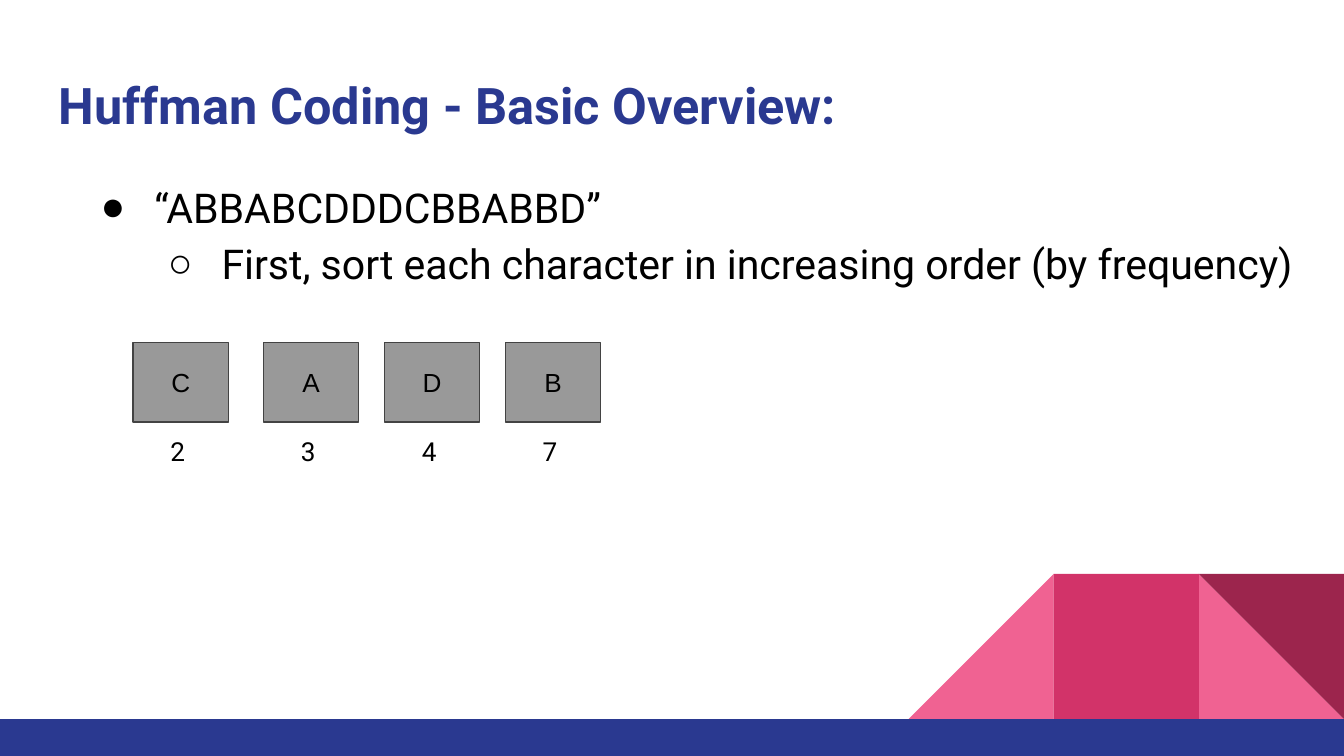
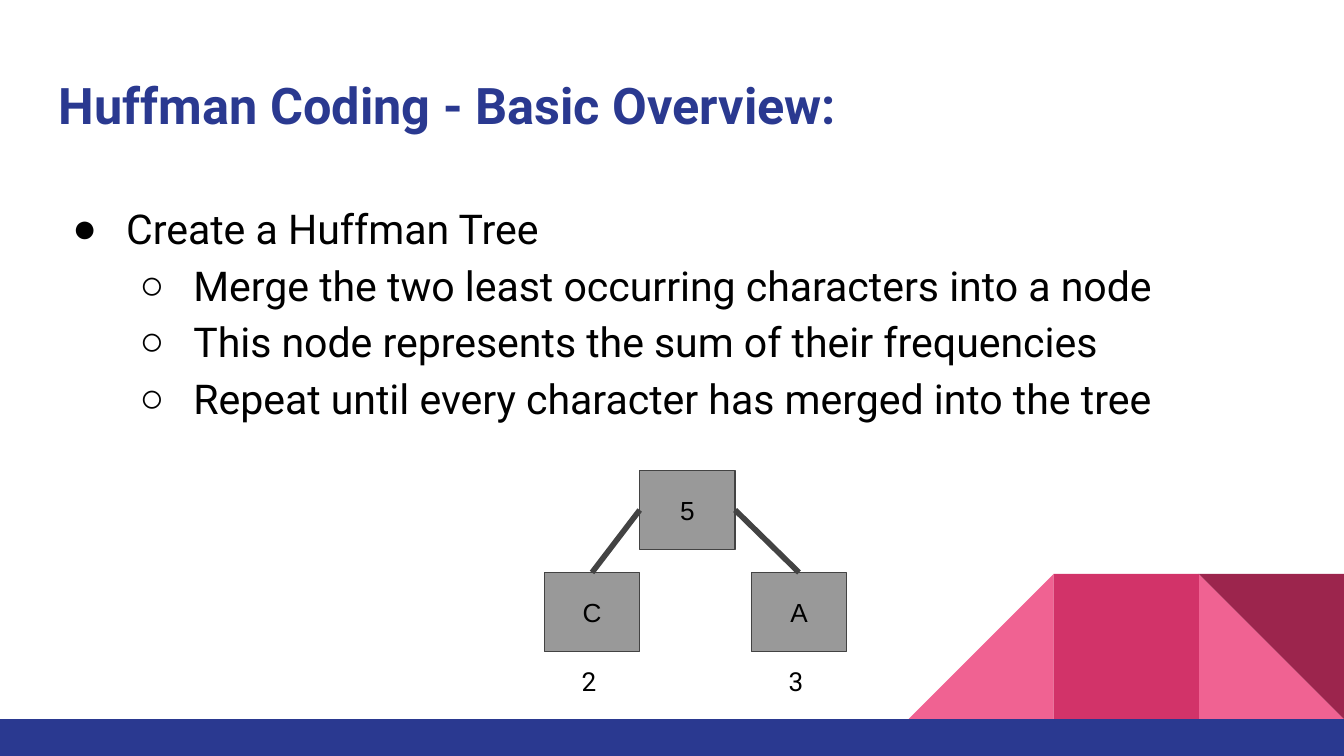
from dataclasses import dataclass

from lxml.etree import SubElement
from pptx import Presentation
from pptx.dml.color import RGBColor
from pptx.enum.shapes import MSO_CONNECTOR as Connector, MSO_SHAPE as Preset
from pptx.enum.text import MSO_ANCHOR as Anchor, MSO_AUTO_SIZE as AutoSize, PP_ALIGN as Align
from pptx.oxml.ns import qn
from pptx.util import Inches, Pt


@dataclass(frozen=True)
class Theme:
    navy: str = "2A3990"
    pink: str = "F06292"
    rose: str = "D23369"
    wine: str = "9C254D"
    node: str = "999999"
    edge: str = "434343"
    ink: str = "000000"
    font: str = "Roboto"
    node_font: str = "Arial"
    bullet_font: str = "Arial"
    title_size: int = 27
    body_size: int = 22
    node_size: int = 14


THEME = Theme()
TITLE = "Huffman Coding - Basic Overview:"
SLIDE_WIDTH = 10
SLIDE_HEIGHT = SLIDE_WIDTH * 9 / 16
NODE_WIDTH, NODE_HEIGHT = 0.71, 0.59
TOP, LEFT, BOTTOM, RIGHT = range(4)


def rgb(color):
    return RGBColor.from_string(color)


def write(paragraph, text, size=THEME.node_size, font=THEME.font, color=THEME.ink,
          bold=False, align=None):
    run = paragraph.add_run()
    run.text = text
    run.font.size = Pt(size)
    run.font.name = font
    run.font.bold = bold
    run.font.color.rgb = rgb(color)
    paragraph.alignment = align


def set_bullet(paragraph, level):
    paragraph.level = level
    paragraph.line_spacing = 1.15
    properties = paragraph._p.get_or_add_pPr()
    properties.set("marL", str(Inches(0.5 * (level + 1))))
    properties.set("indent", str(Inches(-0.4)))
    color = SubElement(properties, qn("a:buClr"))
    SubElement(color, qn("a:srgbClr"), val=THEME.ink)
    SubElement(properties, qn("a:buFont"), typeface=THEME.bullet_font)
    SubElement(properties, qn("a:buChar"), char="●○"[level])


class Deck:
    def __init__(self):
        self.presentation = Presentation()
        self.presentation.slide_width = Inches(SLIDE_WIDTH)
        self.presentation.slide_height = Inches(SLIDE_HEIGHT)
        self.slide = None

    def add_slide(self):
        """Start a slide with the shared corner ornament, band and title."""
        self.slide = self.presentation.slides.add_slide(self.presentation.slide_layouts[6])
        side, top = 1.08, 4.27
        ornament = [
            (Preset.RIGHT_TRIANGLE, 1, THEME.pink, 0),
            (Preset.RIGHT_TRIANGLE, 3, THEME.pink, 270),
            (Preset.RECTANGLE, 2, THEME.rose, 0),
            (Preset.RIGHT_TRIANGLE, 1, THEME.wine, 180),
        ]
        for preset, steps, color, rotation in ornament:
            piece = self.add_shape(preset, SLIDE_WIDTH - steps * side, top, side, side, color)
            piece.rotation = rotation
        band_top = top + side
        self.add_shape(Preset.RECTANGLE, 0, band_top, SLIDE_WIDTH, SLIDE_HEIGHT - band_top,
                       THEME.navy)
        frame = self.add_text_frame(0.34, 0.45, 9.32, 0.66)
        write(frame.paragraphs[0], TITLE, size=THEME.title_size, color=THEME.navy, bold=True)

    def add_shape(self, preset, left, top, width, height, fill):
        shape = self.slide.shapes.add_shape(
            preset, Inches(left), Inches(top), Inches(width), Inches(height))
        shape.shadow.inherit = False
        shape.fill.solid()
        shape.fill.fore_color.rgb = rgb(fill)
        shape.line.fill.background()
        return shape

    def add_text_frame(self, left, top, width, height):
        box = self.slide.shapes.add_textbox(
            Inches(left), Inches(top), Inches(width), Inches(height))
        return self.set_frame(box)

    def set_frame(self, shape):
        frame = shape.text_frame
        frame.word_wrap = True
        frame.margin_left = frame.margin_right = Inches(0.1)
        frame.margin_top = frame.margin_bottom = Inches(0.1)
        return frame

    def add_bullets(self, left, top, height, heading, *details):
        frame = self.add_text_frame(left, top, 9.32, height)
        for index, text in enumerate((heading, *details)):
            paragraph = frame.add_paragraph() if index else frame.paragraphs[0]
            set_bullet(paragraph, level=min(index, 1))
            write(paragraph, text, size=THEME.body_size)

    def add_node(self, left, top, text, frequency=None):
        """Add a tree node, with its frequency below it when given."""
        node = self.add_shape(Preset.RECTANGLE, left, top, NODE_WIDTH, NODE_HEIGHT, THEME.node)
        node.line.color.rgb = rgb(THEME.edge)
        node.line.width = Pt(0.75)
        frame = self.set_frame(node)
        frame.vertical_anchor = Anchor.MIDDLE
        write(frame.paragraphs[0], text, font=THEME.node_font, align=Align.CENTER)
        if frequency is not None:
            label = self.add_text_frame(left + 0.18, top + NODE_HEIGHT, 0.33, 0.44)
            label.auto_size = AutoSize.SHAPE_TO_FIT_TEXT
            write(label.paragraphs[0], str(frequency))
        return node

    def add_branch(self, parent, side, child):
        branch = self.slide.shapes.add_connector(Connector.STRAIGHT, 0, 0, 0, 0)
        branch.begin_connect(parent, side)
        branch.end_connect(child, TOP)
        branch.line.color.rgb = rgb(THEME.edge)
        branch.line.width = Pt(3)
        SubElement(branch._element.spPr, qn("a:effectLst"))


def add_sorting_slide(deck):
    deck.add_slide()
    deck.add_bullets(0.55, 1.2, 2.38, "“ABBABCDDDCBBABBD”",
                     "First, sort each character in increasing order (by frequency)")
    deck.add_node(0.99, 2.55, "C", 2)
    for index, (character, frequency) in enumerate([("A", 3), ("D", 4), ("B", 7)]):
        deck.add_node(1.96 + 0.9 * index, 2.55, character, frequency)


def add_tree_slide(deck):
    deck.add_slide()
    deck.add_bullets(0.34, 1.36, 3.65, "Create a Huffman Tree",
                     "Merge the two least occurring characters into a node",
                     "This node represents the sum of their frequencies",
                     "Repeat until every character has merged into the tree")
    left_child = deck.add_node(4.05, 4.26, "C", 2)
    right_child = deck.add_node(5.59, 4.26, "A", 3)
    parent = deck.add_node(4.76, 3.5, "5")
    deck.add_branch(parent, LEFT, left_child)
    deck.add_branch(parent, RIGHT, right_child)


def main():
    deck = Deck()
    add_sorting_slide(deck)
    add_tree_slide(deck)
    deck.presentation.save("out.pptx")


if __name__ == "__main__":
    main()
